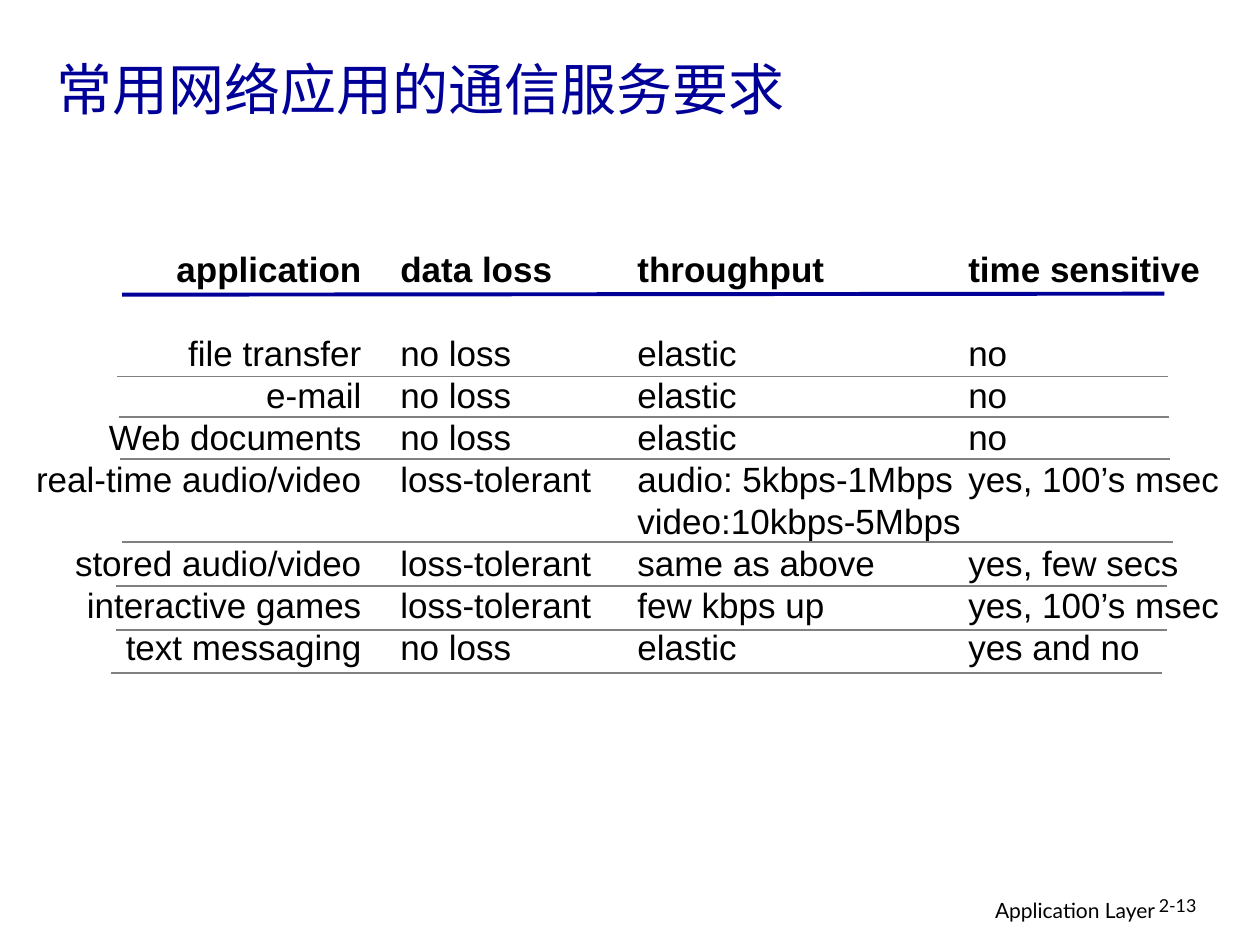
from typing import NamedTuple

from lxml.etree import SubElement
from pptx import Presentation
from pptx.dml.color import RGBColor
from pptx.enum.shapes import MSO_CONNECTOR
from pptx.enum.text import MSO_ANCHOR, MSO_AUTO_SIZE, PP_ALIGN
from pptx.oxml.ns import qn
from pptx.util import Cm, Pt

COLORS = {"navy": "000099", "black": "000000", "gray": "808080"}
LINE_PITCH = Pt(24)
COLUMN_TOP = 4.87
COLUMN_HEIGHT = 8.74
RULE_LENGTH = 21.18


class Column(NamedTuple):
    left: float
    width: float
    heading: str
    groups: list[list[str]]  # a blank line's height separates the groups
    align: PP_ALIGN = PP_ALIGN.LEFT


class Rule(NamedTuple):
    left: float
    top: float


COLUMNS = [
    Column(0.33, 7.21, "application",
           [["file transfer", "e-mail", "Web documents", "real-time audio/video"],
            ["stored audio/video", "interactive games", "text messaging"]],
           align=PP_ALIGN.RIGHT),
    Column(7.82, 4.5, "data loss",
           [["no loss", "no loss", "no loss", "loss-tolerant"],
            ["loss-tolerant", "loss-tolerant", "no loss"]]),
    Column(12.6, 7.16, "throughput",
           [["elastic", "elastic", "elastic", "audio: 5kbps-1Mbps",
             "video:10kbps-5Mbps", "same as above", "few kbps up", "elastic"]]),
    Column(19.27, 5.74, "time sensitive",
           [["no", "no", "no", "yes, 100’s msec"],
            ["yes, few secs", "yes, 100’s msec", "yes and no"]]),
]

RULES = [Rule(2.36, 7.59), Rule(2.39, 8.41), Rule(2.41, 9.25), Rule(2.46, 10.92),
         Rule(2.34, 11.81), Rule(2.34, 12.7), Rule(2.24, 13.56)]


def write(para, text: str, *, size: float, font: str, color: str = "black",
          bold: bool = False, align: PP_ALIGN = PP_ALIGN.LEFT,
          spacing=None, before=Pt(0)) -> None:
    """Put formatted text into a paragraph."""
    para.alignment = align
    para.line_spacing = spacing
    para.space_before = before
    span = para.add_run()
    span.text = text
    span.font.size = Pt(size)
    span.font.name = font
    span.font.bold = bold
    span.font.color.rgb = RGBColor.from_string(COLORS[color])
    SubElement(span.font._element, qn("a:ea")).set("typeface", font)


def add_box(page, left: float, top: float, width: float, height: float):
    box = page.shapes.add_textbox(Cm(left), Cm(top), Cm(width), Cm(height))
    box.text_frame.word_wrap = True
    return box.text_frame


def add_column(page, column: Column) -> None:
    frame = add_box(page, column.left, COLUMN_TOP, column.width, COLUMN_HEIGHT)
    style = dict(size=20, font="Arial", align=column.align, spacing=LINE_PITCH)
    write(frame.paragraphs[0], column.heading, bold=True, **style)
    for group in column.groups:
        for index, text in enumerate(group):
            before = Pt(0) if index else LINE_PITCH
            write(frame.add_paragraph(), text, before=before, **style)


def add_line(page, left: float, top: float, right: float, bottom: float,
             color: str, weight: float) -> None:
    line = page.shapes.add_connector(MSO_CONNECTOR.STRAIGHT, Cm(left), Cm(top),
                                     Cm(right), Cm(bottom))
    line.line.color.rgb = RGBColor.from_string(COLORS[color])
    line.line.width = Pt(weight)
    SubElement(line._element.spPr, qn("a:effectLst"))


def main() -> None:
    deck = Presentation()
    deck.slide_width, deck.slide_height = Cm(25.4), Cm(19.05)
    page = deck.slides.add_slide(deck.slide_layouts[5])

    # Title
    title = page.shapes.title
    title.left, title.top, title.width, title.height = Cm(0.89), Cm(0.64), Cm(22.78), Cm(2.26)
    title.text_frame.auto_size = MSO_AUTO_SIZE.NONE
    title.text_frame.vertical_anchor = MSO_ANCHOR.MIDDLE
    write(title.text_frame.paragraphs[0], "常用网络应用的通信服务要求",
          size=32, font="Noto Sans CJK SC", color="navy")

    # Footer and page number
    footer = add_box(page, 15.49, 17.96, 8.05, 0.79)
    write(footer.paragraphs[0], "Application Layer", size=12, font="Lato",
          align=PP_ALIGN.RIGHT)
    number = add_box(page, 23.11, 17.96, 1.88, 0.76)
    write(number.paragraphs[0], "2-13", size=10.2, font="Lato", spacing=0.9)

    # Requirements by application
    for column in COLUMNS:
        add_column(page, column)

    # Heading rule and row rules
    add_line(page, 2.46, 5.94, 23.47, 5.92, "navy", 2.25)
    for rule in RULES:
        add_line(page, rule.left, rule.top, rule.left + RULE_LENGTH, rule.top, "gray", 1)

    deck.save("out.pptx")


if __name__ == "__main__":
    main()
